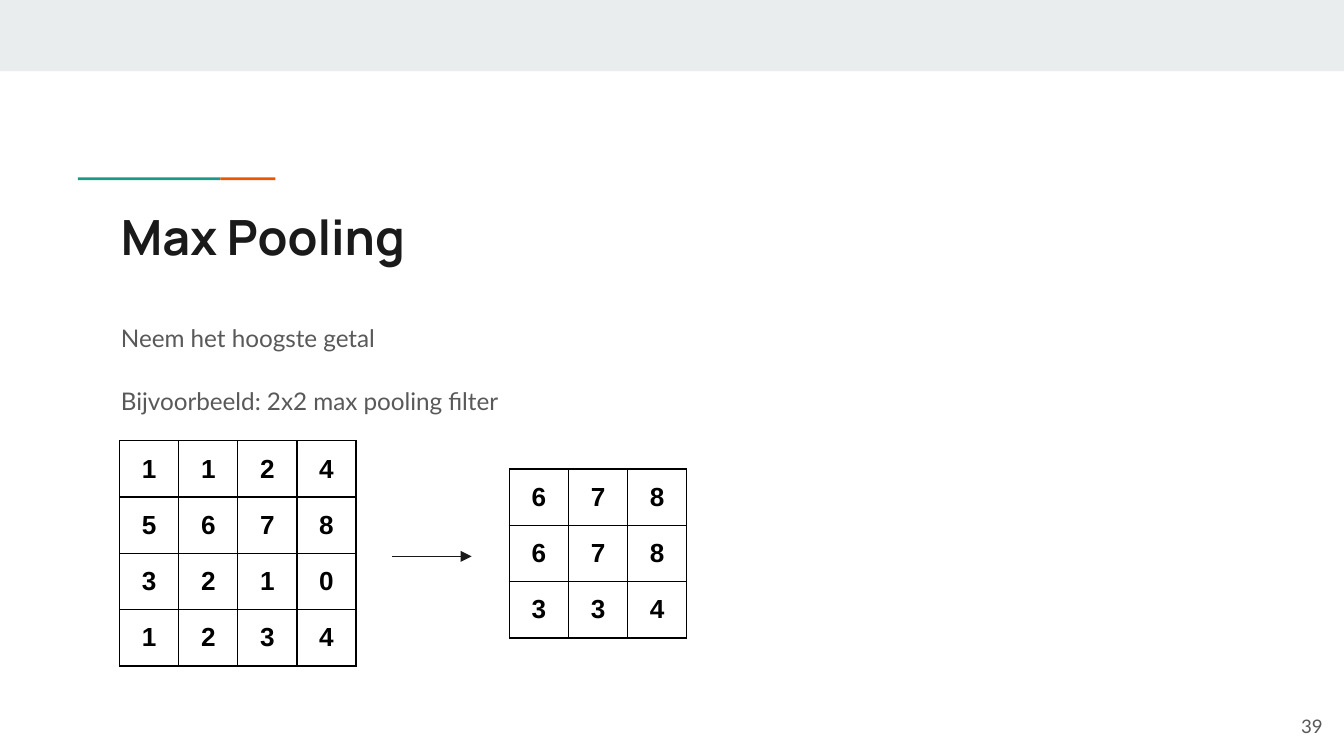
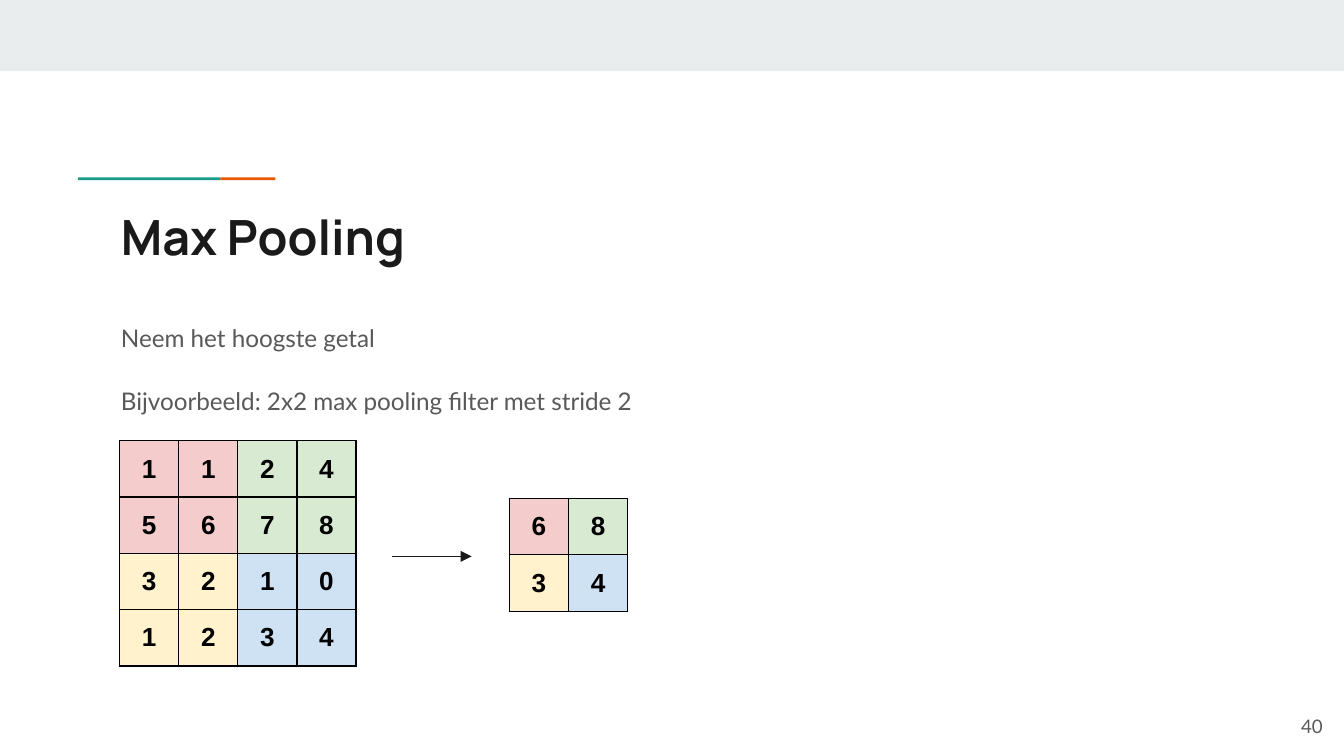
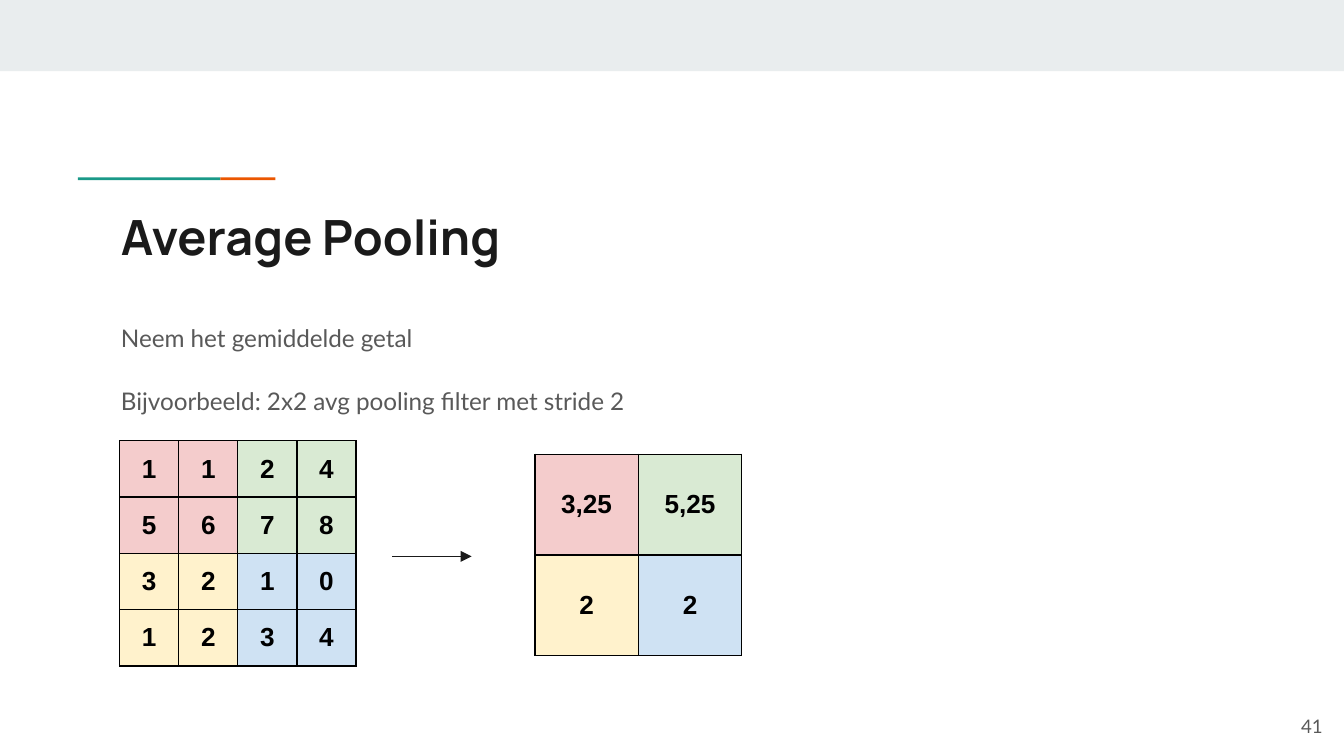
from lxml.etree import SubElement
from pptx import Presentation
from pptx.dml.color import RGBColor
from pptx.enum.shapes import MSO_CONNECTOR, MSO_SHAPE
from pptx.enum.text import MSO_ANCHOR as Anchor, MSO_AUTO_SIZE as AutoSize, PP_ALIGN as Align
from pptx.oxml.ns import qn
from pptx.util import Inches, Pt

INK, GREY, BLACK = "1A1A1A", "595959", "000000"
QUADRANTS = [["F4CCCC", "D9EAD3"], ["FFF2CC", "CFE2F3"]]
INPUT = [[1, 1, 2, 4], [5, 6, 7, 8], [3, 2, 1, 0], [1, 2, 3, 4]]
INPUT_AT = (0.89, 3.28)
SMALL_CELL, LARGE_CELL = (0.44, 0.41), (0.77, 0.75)
FIRST_PAGE = 39

# left, top, width, height, colour
BANDS = [
    (0, 0, 10, 0.53, "E9EDEE"),
    (0.58, 1.32, 1.06, 0.02, "1A9988"),
    (1.64, 1.32, 0.41, 0.02, "EB5600"),
]

SLIDES = [
    {
        "title": "Max Pooling",
        "lines": ["Neem het hoogste getal", "Bijvoorbeeld: 2x2 max pooling filter"],
        "pooled": [[6, 7, 8], [6, 7, 8], [3, 3, 4]],
        "pooled_at": (3.79, 3.49), "cell": SMALL_CELL, "coloured": False,
    },
    {
        "title": "Max Pooling",
        "lines": ["Neem het hoogste getal", "Bijvoorbeeld: 2x2 max pooling filter met stride 2"],
        "pooled": [[6, 8], [3, 4]],
        "pooled_at": (3.79, 3.71), "cell": SMALL_CELL, "coloured": True,
    },
    {
        "title": "Average Pooling",
        "lines": ["Neem het gemiddelde getal", "Bijvoorbeeld: 2x2 avg pooling filter met stride 2"],
        "pooled": [["3,25", "5,25"], [2, 2]],
        "pooled_at": (3.98, 3.38), "cell": LARGE_CELL, "coloured": True,
    },
]


def rgb(colour):
    return RGBColor.from_string(colour)


def style(paragraph, size, name, colour, bold=False, align=Align.LEFT):
    paragraph.alignment = align
    for run in paragraph.runs:
        font = run.font
        font.size, font.name, font.bold = Pt(size), name, bold
        font.color.rgb = rgb(colour)


def place(shape, left, top, width, height, anchor=Anchor.TOP):
    """Position a text shape and give its frame the shared margins."""
    shape.left, shape.top = Inches(left), Inches(top)
    shape.width, shape.height = Inches(width), Inches(height)
    frame = shape.text_frame
    frame.word_wrap, frame.auto_size = True, AutoSize.NONE
    frame.vertical_anchor = anchor
    frame.margin_left = frame.margin_right = Inches(0.1)
    frame.margin_top = frame.margin_bottom = Inches(0.1)
    return frame


def add_bands(slide, layout):
    """Draw the bands and move them to the back of the shared layout."""
    for index, (left, top, width, height, colour) in enumerate(BANDS):
        band = slide.shapes.add_shape(
            MSO_SHAPE.RECTANGLE, Inches(left), Inches(top), Inches(width), Inches(height))
        band.shadow.inherit = False
        band.fill.solid()
        band.fill.fore_color.rgb = rgb(colour)
        band.line.fill.background()
        layout.shapes.element.insert(2 + index, band.element)


def add_title(slide, title):
    frame = place(slide.shapes.title, 0.8, 1.44, 8.41, 0.59)
    frame.text = title
    style(frame.paragraphs[0], 26, "Manrope", INK, bold=True)


def add_body(slide, lines):
    frame = place(slide.placeholders[1], 0.8, 2.27, 7.33, 2.47)
    frame.text = "\n".join(lines)
    for index, paragraph in enumerate(frame.paragraphs):
        properties = paragraph._p.get_or_add_pPr()
        properties.set("marL", "0")
        properties.set("indent", "0")
        SubElement(properties, qn("a:buNone"))
        paragraph.line_spacing = 1.15
        paragraph.space_before = paragraph.space_after = Pt(16 if index else 0)
        style(paragraph, 13, "Lato", GREY)


def add_page_number(slide, number):
    frame = place(slide.shapes.add_textbox(0, 0, 0, 0), 9.34, 5.19, 0.6, 0.43, Anchor.MIDDLE)
    frame.text = str(number)
    style(frame.paragraphs[0], 10, "Lato", GREY, align=Align.RIGHT)


def add_borders(cell):
    properties = cell._tc.get_or_add_tcPr()
    for side in ("lnL", "lnR", "lnT", "lnB"):
        border = SubElement(properties, qn(f"a:{side}"), w=str(Pt(0.75)))
        fill = SubElement(border, qn("a:solidFill"))
        SubElement(fill, qn("a:srgbClr"), val=BLACK)


def add_matrix(slide, values, position, cell_size, coloured):
    """Add a square table; when coloured, each quadrant has its own fill."""
    count = len(values)
    left, top = map(Inches, position)
    width, height = map(Inches, cell_size)
    table = slide.shapes.add_table(count, count, left, top, count * width, count * height).table
    table.first_row = table.horz_banding = False
    for r, row in enumerate(values):
        table.rows[r].height, table.columns[r].width = height, width
        for c, value in enumerate(row):
            cell = table.cell(r, c)
            cell.margin_left = cell.margin_right = Inches(0.1)
            cell.margin_top = cell.margin_bottom = Inches(0.1)
            cell.vertical_anchor = Anchor.MIDDLE
            add_borders(cell)
            if coloured:
                cell.fill.solid()
                cell.fill.fore_color.rgb = rgb(QUADRANTS[2 * r // count][2 * c // count])
            else:
                cell.fill.background()
            cell.text = str(value)
            style(cell.text_frame.paragraphs[0], 14, "Arial", BLACK, bold=True, align=Align.CENTER)


def add_arrow(slide):
    arrow = slide.shapes.add_connector(
        MSO_CONNECTOR.STRAIGHT, Inches(2.92), Inches(4.14), Inches(3.51), Inches(4.14))
    arrow.line.width = Pt(0.75)
    arrow.line.color.rgb = rgb(INK)
    SubElement(arrow.line._get_or_add_ln(), qn("a:tailEnd"), type="triangle")
    SubElement(arrow.element.spPr, qn("a:effectLst"))


def main():
    deck = Presentation()
    deck.slide_width = Inches(10)
    deck.slide_height = deck.slide_width * 9 // 16
    layout = deck.slide_layouts[1]
    for index, content in enumerate(SLIDES):
        slide = deck.slides.add_slide(layout)
        if index == 0:
            add_bands(slide, layout)
        add_title(slide, content["title"])
        add_body(slide, content["lines"])
        add_page_number(slide, FIRST_PAGE + index)
        add_matrix(slide, INPUT, INPUT_AT, SMALL_CELL, content["coloured"])
        add_arrow(slide)
        add_matrix(slide, content["pooled"], content["pooled_at"], content["cell"], content["coloured"])
    deck.save("out.pptx")


if __name__ == "__main__":
    main()
